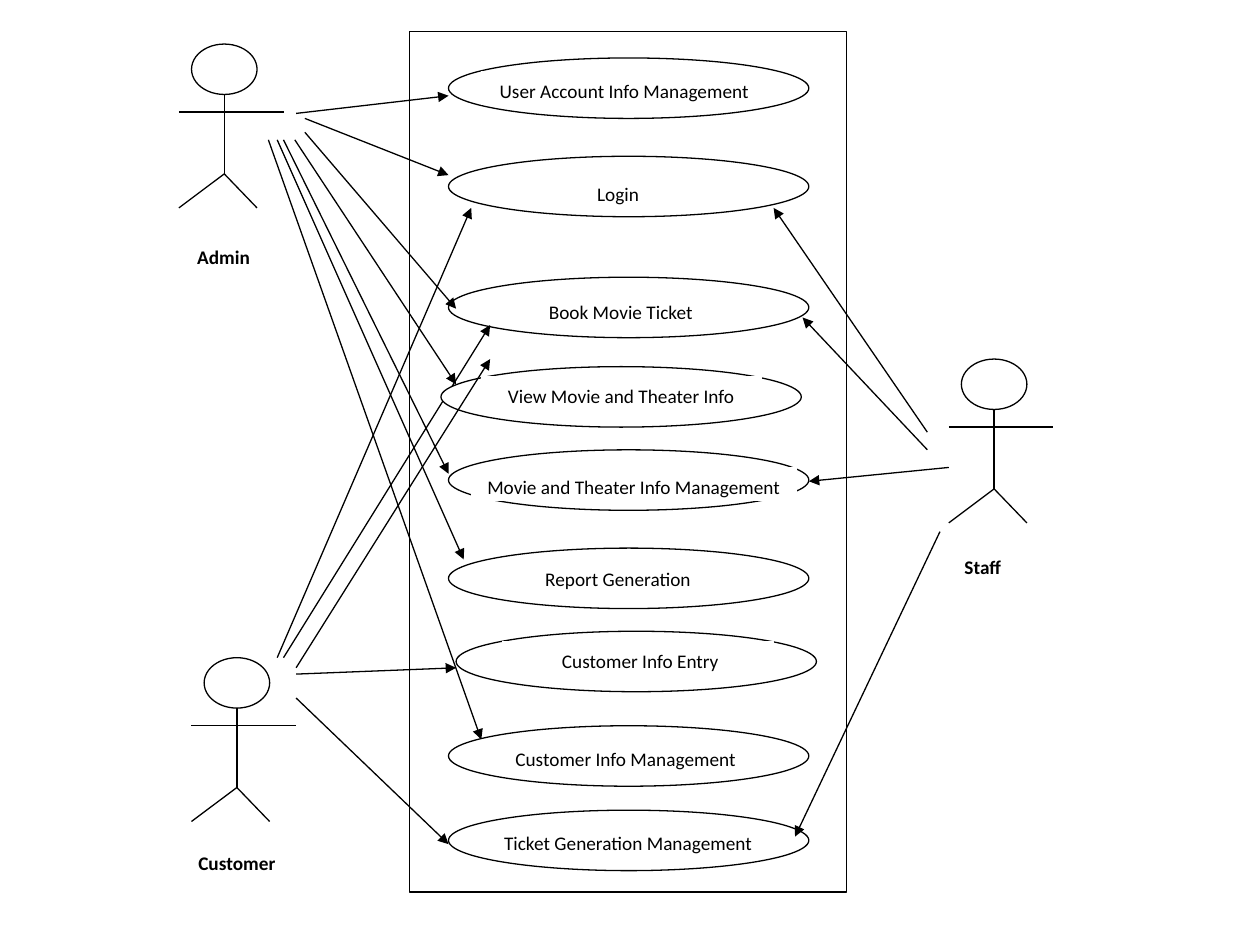
from lxml.etree import SubElement
from pptx import Presentation
from pptx.dml.color import RGBColor
from pptx.enum.shapes import MSO_CONNECTOR as Connector, MSO_SHAPE as Shape
from pptx.enum.text import MSO_ANCHOR as Anchor, PP_ALIGN as Align
from pptx.oxml.ns import qn
from pptx.util import Inches, Pt

COLOURS = {"ink": "000000", "paper": "FFFFFF"}
SYSTEM_BOX = (3.25, 0.25, 3.47, 6.83)
OVAL_SIZE = (2.86, 0.48)
LABEL_HEIGHT = 0.26

# Actors: name, left and top of the figure, label box
ACTORS = [
    ("Customer", 1.52, 5.22, (1.42, 6.7, 0.92, 0.31)),
    ("Admin", 1.42, 0.35, (1.42, 1.89, 0.71, 0.31)),
    ("Staff", 7.53, 2.85, (7.36, 4.35, 0.88, 0.35)),
]

# Figure strokes, relative to the figure's left and top
HEAD = (0.1, 0, 0.52, 0.4)
STROKES = [
    ((0.36, 0.4), (0.36, 1.03)),   # body
    ((0, 0.54), (0.83, 0.54)),     # arms
    ((0.36, 1.03), (0, 1.3)),      # left leg
    ((0.36, 1.03), (0.62, 1.3)),   # right leg
]

# Use cases: text, oval left and top, label left, top and width
USE_CASES = [
    ("User Account Info Management", 3.56, 0.46, 3.82, 0.57, 2.27),
    ("Login", 3.56, 1.24, 4.35, 1.39, 1.11),
    ("Book Movie Ticket ", 3.56, 2.2, 3.93, 2.32, 2.03),
    ("Movie and Theater Info Management", 3.56, 3.57, 3.74, 3.71, 2.58),
    ("Report Generation", 3.56, 4.35, 4.2, 4.44, 1.41),
    (" Customer Info Entry", 3.62, 5.01, 3.99, 5.09, 2.15),
    ("Customer Info Management", 3.56, 5.76, 3.89, 5.87, 2.15),
    ("Ticket Generation Management", 3.56, 6.43, 3.89, 6.54, 2.19),
]
VIEW_CASE = ("View Movie and Theater Info", 3.5, 2.91, 3.82, 2.99, 2.22)

# Arrows from actor to use case, by depth
ARROWS_BEHIND = [
    ((2.35, 0.9), (3.56, 0.76)),
    ((2.42, 0.94), (3.56, 1.39)),
    ((2.13, 1.11), (3.82, 5.87)),
    ((2.2, 5.22), (3.74, 1.65)),
    ((2.35, 5.35), (3.62, 5.3)),
    ((2.35, 5.54), (3.56, 6.7)),
    ((7.36, 3.43), (6.14, 1.65)),
    ((7.36, 3.57), (6.37, 2.52)),
]
ARROWS_BETWEEN = [
    ((2.2, 1.11), (3.68, 4.44)),
    ((2.25, 5.22), (3.89, 2.58)),
    ((7.46, 4.22), (6.31, 6.64)),
]
ARROWS_FRONT = [
    ((2.35, 5.3), (3.89, 2.85)),
    ((2.42, 1.05), (3.62, 2.45)),
    ((2.25, 1.11), (3.56, 3.76)),
    ((2.34, 1.11), (3.62, 3.05)),
    ((7.53, 3.71), (6.42, 3.82)),
]

presentation = Presentation()
presentation.slide_width, presentation.slide_height = Inches(10), Inches(7.5)
slide = presentation.slides.add_slide(presentation.slide_layouts[6])


def colour(name):
    return RGBColor.from_string(COLOURS[name])


def add_outline(kind, box, line="ink"):
    shape = slide.shapes.add_shape(kind, *map(Inches, box))
    shape.shadow.inherit = False
    shape.fill.solid()
    shape.fill.fore_color.rgb = colour("paper")
    shape.line.color.rgb = colour(line)
    shape.line.width = Pt(0.75)
    return shape


def add_label(text, box, bold=False):
    frame = add_outline(Shape.RECTANGLE, box, line="paper").text_frame
    frame.word_wrap = True
    frame.vertical_anchor = Anchor.TOP
    frame.margin_top = frame.margin_bottom = Inches(0.06)
    paragraph = frame.paragraphs[0]
    paragraph.text = text
    paragraph.alignment = Align.CENTER
    paragraph.space_after = Pt(10)
    font = paragraph.font
    font.name, font.size, font.bold = "Calibri", Pt(11), bold
    font.color.rgb = colour("ink")


def add_line(start, end, arrow=False):
    line = slide.shapes.add_connector(Connector.STRAIGHT, *map(Inches, (*start, *end)))
    line.line.color.rgb = colour("ink")
    line.line.width = Pt(0.75)
    if arrow:
        SubElement(line.line._get_or_add_ln(), qn("a:tailEnd"), type="triangle")
    SubElement(line._element.spPr, qn("a:effectLst"))


def add_arrows(arrows):
    for start, end in arrows:
        add_line(start, end, arrow=True)


def add_oval(left, top):
    add_outline(Shape.OVAL, (left, top, *OVAL_SIZE))


# System boundary and actors
add_outline(Shape.RECTANGLE, SYSTEM_BOX)
for name, left, top, label_box in ACTORS:
    x, y, width, height = HEAD
    add_outline(Shape.OVAL, (left + x, top + y, width, height))
    for stroke in STROKES:
        add_line(*((left + x, top + y) for x, y in stroke))
    add_label(name, label_box, bold=True)

# Use cases, with the arrows layered around them
add_arrows(ARROWS_BEHIND)
for text, left, top, *label_place in USE_CASES:
    add_oval(left, top)
    add_label(text, (*label_place, LABEL_HEIGHT))
add_arrows(ARROWS_BETWEEN)

text, left, top, *label_place = VIEW_CASE
add_oval(left, top)
add_label(text, (*label_place, LABEL_HEIGHT))
add_arrows(ARROWS_FRONT)

presentation.save("out.pptx")
